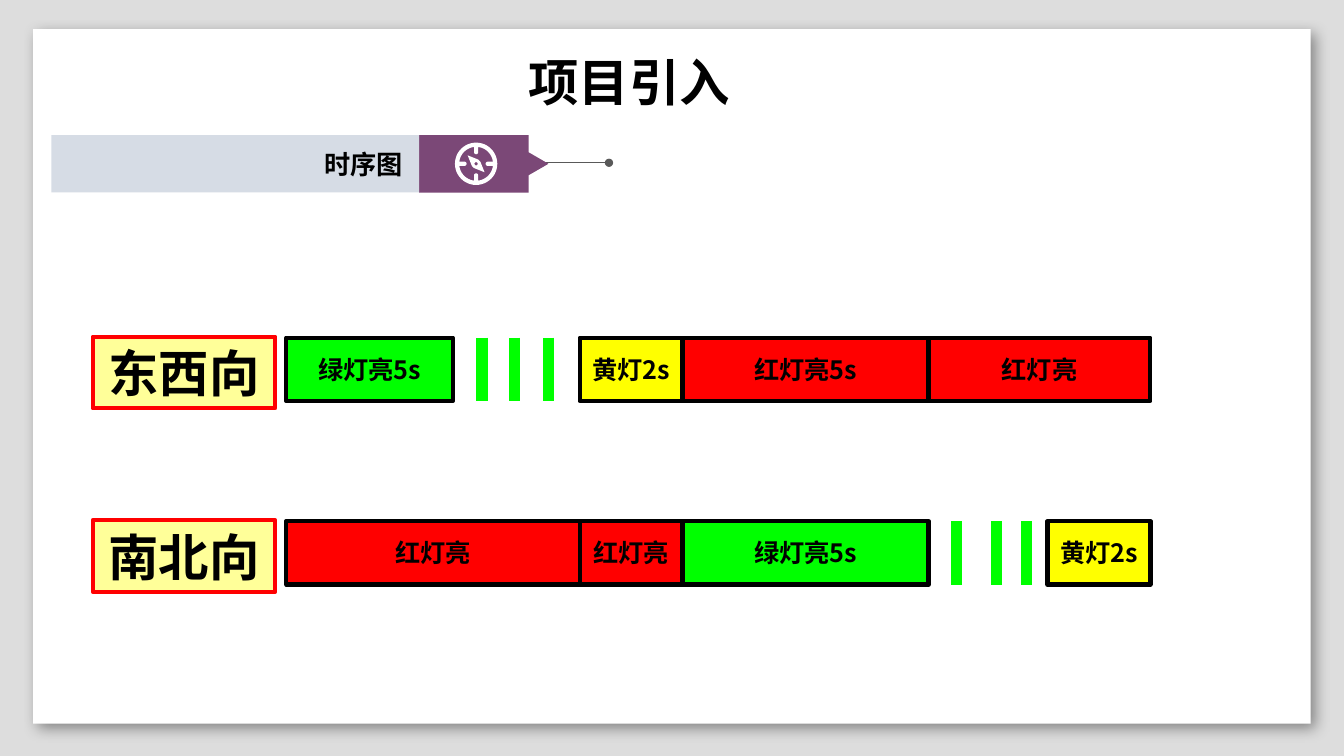
from math import asin, cos, pi, sin

from lxml import etree
from pptx import Presentation
from pptx.dml.color import RGBColor
from pptx.enum.shapes import MSO_CONNECTOR, MSO_SHAPE
from pptx.enum.text import MSO_ANCHOR, MSO_AUTO_SIZE, PP_ALIGN
from pptx.oxml.ns import qn
from pptx.util import Emu, Inches, Pt

RECT = MSO_SHAPE.RECTANGLE
STRAIGHT = MSO_CONNECTOR.STRAIGHT
MIDDLE = MSO_ANCHOR.MIDDLE
CENTER, RIGHT = PP_ALIGN.CENTER, PP_ALIGN.RIGHT
NO_AUTOFIT = MSO_AUTO_SIZE.NONE

CJK = "Noto Sans CJK SC"
BLACK, WHITE = "000000", "FFFFFF"
GREEN, YELLOW, RED = "00FF00", "FFFF00", "FF0000"
PURPLE = "7B4877"

# Column edges of the signal phases, in inches
START, GREEN_END, AMBER, SECOND, THIRD, LAST_AMBER, END = (
    2.84, 4.49, 5.75, 6.77, 9.21, 10.39, 11.41)


def color(hex_value):
    return RGBColor.from_string(hex_value)


def set_text(shape, text, size=18, font=CJK, east_asian=CJK, align=CENTER, right_inset=0.1):
    frame = shape.text_frame
    frame.word_wrap = False
    frame.auto_size = NO_AUTOFIT
    frame.vertical_anchor = MIDDLE
    frame.margin_right = Inches(right_inset)
    paragraph = frame.paragraphs[0]
    paragraph.alignment = align
    run = paragraph.add_run()
    run.text = text
    run.font.size = Pt(size)
    run.font.bold = True
    run.font.name = font
    run.font.color.rgb = color(BLACK)
    properties = run.font._element
    properties.set("lang", "zh-CN")
    latin = properties.find(qn("a:latin"))
    face = etree.Element(qn("a:ea"), typeface=east_asian)
    latin.addnext(face)


def paint(shape, fill, line=None):
    shape.shadow.inherit = False
    shape.fill.solid()
    shape.fill.fore_color.rgb = color(fill)
    if line:
        shape.line.color.rgb = color(line)
        shape.line.width = Pt(3)
    else:
        shape.line.fill.background()
    return shape


def add_rect(slide, box, fill, line=None):
    return paint(slide.shapes.add_shape(RECT, *map(Inches, box)), fill, line)


def add_line(slide, start, end, line_color, width):
    line = slide.shapes.add_connector(STRAIGHT, *map(Inches, start + end))
    line.line.color.rgb = color(line_color)
    line.line.width = Pt(width)
    etree.SubElement(line._element.spPr, qn("a:effectLst"))
    return line


def add_outline(slide, contours, fill):
    """Draw closed contours, given in inches, as one filled shape."""
    scaled = [[(Inches(x), Inches(y)) for x, y in contour] for contour in contours]
    builder = slide.shapes.build_freeform(*scaled[0][0], scale=1.0)
    for index, contour in enumerate(scaled):
        if index:
            builder.move_to(*contour[0])
        builder.add_line_segments(contour[1:], close=True)
    return paint(builder.convert_to_shape(Emu(0), Emu(0)), fill)


def add_panel(slide, box):
    panel = add_rect(slide, box, WHITE)
    effects = panel._element.spPr.find(qn("a:effectLst"))
    shadow = etree.SubElement(effects, qn("a:outerShdw"), blurRad=str(Pt(10)),
                              dist=str(Pt(5)), dir="2700000", algn="tl", rotWithShape="0")
    tint = etree.SubElement(shadow, qn("a:srgbClr"), val=BLACK)
    etree.SubElement(tint, qn("a:alpha"), val="40000")
    slide.shapes._spTree.insert(2, panel._element)


def add_title(slide, box):
    title = slide.shapes.title
    title.left, title.top, title.width, title.height = map(Inches, box)
    set_text(title, "项目引入", size=36, font="Noto Sans CJK JP", east_asian="Noto Sans CJK JP")


def arc(cx, cy, radius, start, end, steps):
    return [(cx + radius * cos(start + (end - start) * i / steps),
             cy + radius * sin(start + (end - start) * i / steps))
            for i in range(steps + 1)]


def add_compass(slide, cx, cy, radius):
    inner, tick_end, half_tick = radius * 0.8, radius * 0.55, radius * 0.1
    edge = asin(half_tick / inner)
    dial = []
    for quarter in range(4):
        angle = quarter * pi / 2
        tip = (cx + tick_end * cos(angle), cy + tick_end * sin(angle))
        dial += arc(*tip, half_tick, angle - pi / 2, angle - 3 * pi / 2, 8)
        dial += arc(cx, cy, inner, angle + edge, angle + pi / 2 - edge, 12)
    far, near = radius * 0.4, radius * 0.1
    needle = [(cx - far, cy - far), (cx + near, cy - 2 * near), (cx + 2 * near, cy - near),
              (cx + far, cy + far), (cx - near, cy + 2 * near), (cx - 2 * near, cy + near)]
    rim = arc(cx, cy, radius, 0, 2 * pi, 48)
    hub = arc(cx, cy, radius * 0.08, 0, 2 * pi, 12)
    add_outline(slide, [rim, dial, needle, hub], WHITE)


def add_banner(slide, box):
    left, top, width, height = box
    label_width, badge_width, pointer = width * 0.74, width * 0.22, height * 0.2
    badge = left + label_width
    right, middle, bottom = badge + badge_width, top + height / 2, top + height
    leader = add_line(slide, (right + 0.15, middle - 0.01), (6.04, middle - 0.01), "595959", 0.5)
    etree.SubElement(leader.line._get_or_add_ln(), qn("a:tailEnd"), type="oval")
    add_outline(slide, [[(badge, top), (right, top), (right, middle - pointer),
                         (left + width, middle), (right, middle + pointer),
                         (right, bottom), (badge, bottom)]], PURPLE)
    label = add_rect(slide, (left, top, label_width, height), "D6DCE5")
    set_text(label, "时序图", size=18.7, font="Arial", align=RIGHT, right_inset=0.16)
    add_compass(slide, badge + badge_width * 0.52, middle, 0.21)


def add_direction(slide, top, name, phases, flashes):
    """Draw one road's label, its lit phases and its green flashes."""
    height = 0.63
    for left, right, fill, text in phases:
        phase = add_rect(slide, (left, top, right - left, height), fill, BLACK)
        set_text(phase, text)
    for x in flashes:
        add_line(slide, (x, top), (x, top + height), GREEN, 8)
    label = add_rect(slide, (0.92, top - 0.01, 1.81, 0.71), "FFFF99", RED)
    set_text(label, name, size=36, font="Arial")


def main():
    deck = Presentation()
    deck.slide_width, deck.slide_height = Inches(13.33), Inches(7.5)
    slide = deck.slides.add_slide(deck.slide_layouts[5])
    slide.background.fill.solid()
    slide.background.fill.fore_color.rgb = color("DDDDDD")

    add_panel(slide, (0.33, 0.29, 12.67, 6.89))
    add_title(slide, (5.13, 0.45, 2.22, 0.71))
    add_banner(slide, (0.51, 1.34, 4.93, 0.57))
    add_direction(slide, 3.35, "东西向", [
        (START, GREEN_END, GREEN, "绿灯亮5s"),
        (AMBER, SECOND, YELLOW, "黄灯2s"),
        (SECOND, THIRD, RED, "红灯亮5s"),
        (THIRD, END, RED, "红灯亮"),
    ], (4.78, 5.1, 5.44))
    add_direction(slide, 5.17, "南北向", [
        (START, AMBER, RED, "红灯亮"),
        (AMBER, SECOND, RED, "红灯亮"),
        (SECOND, THIRD, GREEN, "绿灯亮5s"),
        (LAST_AMBER, END, YELLOW, "黄灯2s"),
    ], (9.49, 9.88, 10.18))
    deck.save("out.pptx")


if __name__ == "__main__":
    main()
